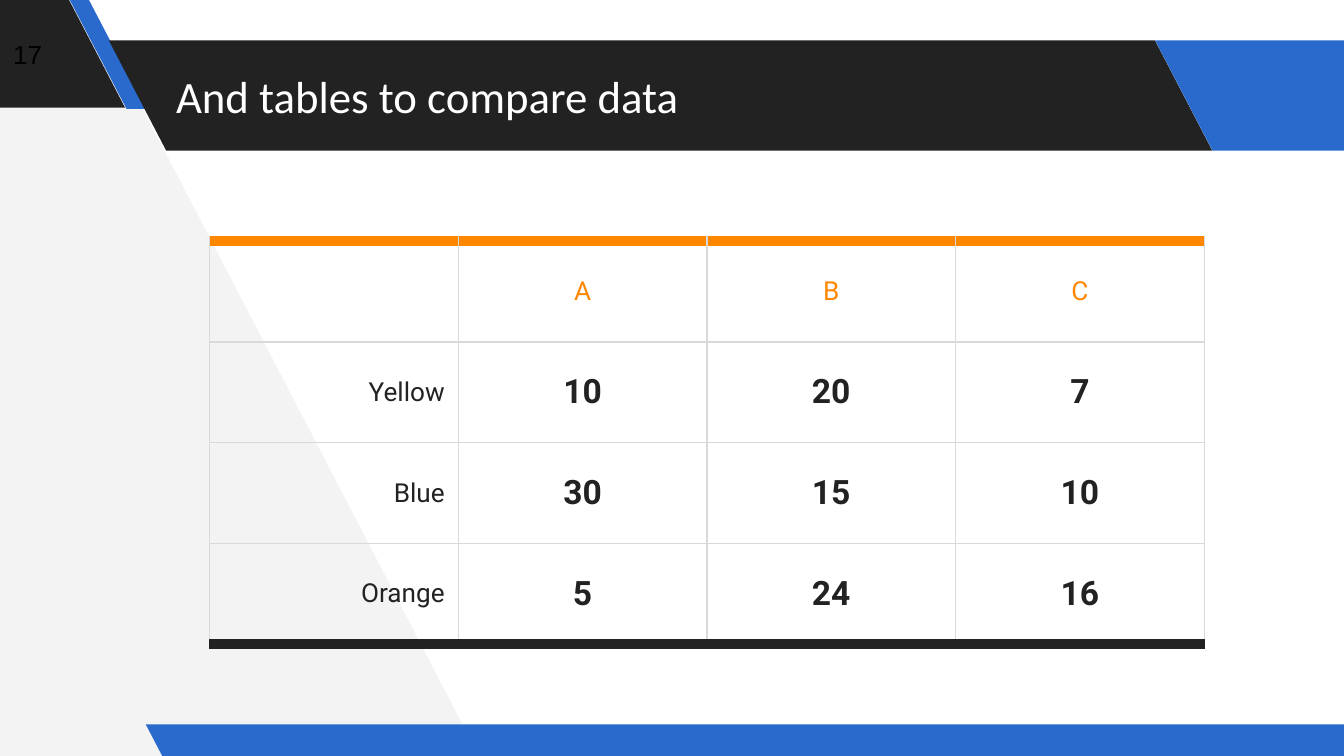
from lxml.etree import SubElement
from pptx import Presentation
from pptx.dml.color import RGBColor
from pptx.enum.shapes import MSO_SHAPE
from pptx.enum.text import MSO_ANCHOR as ANCHOR, MSO_AUTO_SIZE as AUTO, PP_ALIGN as ALIGN
from pptx.oxml.ns import qn
from pptx.util import Pt

PX = 4572
COLORS = {
    "dark": "222222",
    "blue": "296ACC",
    "orange": "FF8700",
    "pale": "F3F3F3",
    "grid": "D9D9D9",
    "white": "FFFFFF",
    "black": "000000",
}
ROWS = [
    ["", "A", "B", "C"],
    ["Yellow", "10", "20", "7"],
    ["Blue", "30", "15", "10"],
    ["Orange", "5", "24", "16"],
]
BANDS = [
    (-198, -4, 384, 164, 0.52, "dark"),
    (103, -2, 114, 164, 0.75, "blue"),
    (162, 60, 1642, 164, 0.52, "dark"),
    (1719, 60, 384, 164, 0.52, "blue"),
    (217, 1078, 1830, 50, 0.52, "blue"),
]


def px(*values):
    return [v * PX for v in values]


def rgb(name):
    return RGBColor.from_string(COLORS[name])


def paint(sp, color):
    sp.shadow.inherit = False
    sp.fill.solid()
    sp.fill.fore_color.rgb = rgb(color)
    sp.line.fill.background()


def add_backdrop(s):
    builder = s.shapes.build_freeform(712, 1124, scale=PX)
    builder.add_line_segments([(124, -8), (-12, -8), (-4, 1132)], close=True)
    paint(builder.convert_to_shape(), "pale")


def add_band(s, x, y, w, h, slant, color):
    sp = s.shapes.add_shape(MSO_SHAPE.PARALLELOGRAM, *px(x, y, w, h))
    sp.adjustments[0] = slant
    sp._element.spPr.find(qn("a:xfrm")).set("flipH", "1")
    paint(sp, color)


def add_run(p, text, size, font, color, bold=False):
    r = p.add_run()
    r.text = text
    r.font.size = Pt(size)
    r.font.name = font
    r.font.bold = bold
    r.font.color.rgb = rgb(color)


def set_frame(tf, inset):
    tf.word_wrap = True
    tf.auto_size = AUTO.NONE
    tf.vertical_anchor = ANCHOR.MIDDLE
    tf.margin_left = tf.margin_right = tf.margin_top = tf.margin_bottom = inset * PX


def add_title(s, text):
    sp = s.shapes.title
    sp.left, sp.top, sp.width, sp.height = px(242, 60, 1470, 164)
    set_frame(sp.text_frame, 20)
    p = sp.text_frame.paragraphs[0]
    p.alignment = ALIGN.LEFT
    add_run(p, text, 24, "Calibri", "white")
    s.shapes._spTree.append(sp._element)


def add_page_number(s, text):
    sp = s.shapes.add_textbox(*px(0, 0, 140, 162))
    set_frame(sp.text_frame, 20)
    add_run(sp.text_frame.paragraphs[0], text, 14, "Arial", "black")


def set_border(cell, side, color, width):
    ln = SubElement(cell._tc.get_or_add_tcPr(), qn(f"a:ln{side}"), w=str(Pt(width)))
    fill = SubElement(ln, qn("a:solidFill"))
    SubElement(fill, qn("a:srgbClr"), val=COLORS[color])


def fill_cell(cell, text, row, col):
    edges = {side: ("grid", 0.75) for side in "LRTB"}
    if row == 0:
        edges["T"] = ("orange", 6)
    if row == len(ROWS) - 1:
        edges["B"] = ("dark", 6)
    for side, (color, width) in edges.items():
        set_border(cell, side, color, width)
    cell.fill.background()
    cell.vertical_anchor = ANCHOR.MIDDLE
    cell.margin_left = cell.margin_right = 20 * PX
    cell.margin_top = cell.margin_bottom = 14 * PX
    if not text:
        return
    p = cell.text_frame.paragraphs[0]
    p.alignment = ALIGN.CENTER if col else ALIGN.RIGHT
    is_value = row > 0 and col > 0
    color = "dark" if row else "orange"
    add_run(p, text, 18 if is_value else 14, "Roboto", color, is_value)


def add_data_table(s):
    n_rows, n_cols = len(ROWS), len(ROWS[0])
    frame = s.shapes.add_table(n_rows, n_cols, *px(312, 359, 370 * n_cols, 150 * n_rows))
    table = frame.table
    table.first_row = table.horz_banding = False
    for row, texts in enumerate(ROWS):
        for col, text in enumerate(texts):
            fill_cell(table.cell(row, col), text, row, col)


def main():
    prs = Presentation()
    prs.slide_width, prs.slide_height = px(2000, 1125)
    s = prs.slides.add_slide(prs.slide_layouts[5])
    add_backdrop(s)
    for band in BANDS:
        add_band(s, *band)
    add_title(s, "And tables to compare data")
    add_page_number(s, "17")
    add_data_table(s)
    prs.save("out.pptx")


if __name__ == "__main__":
    main()
